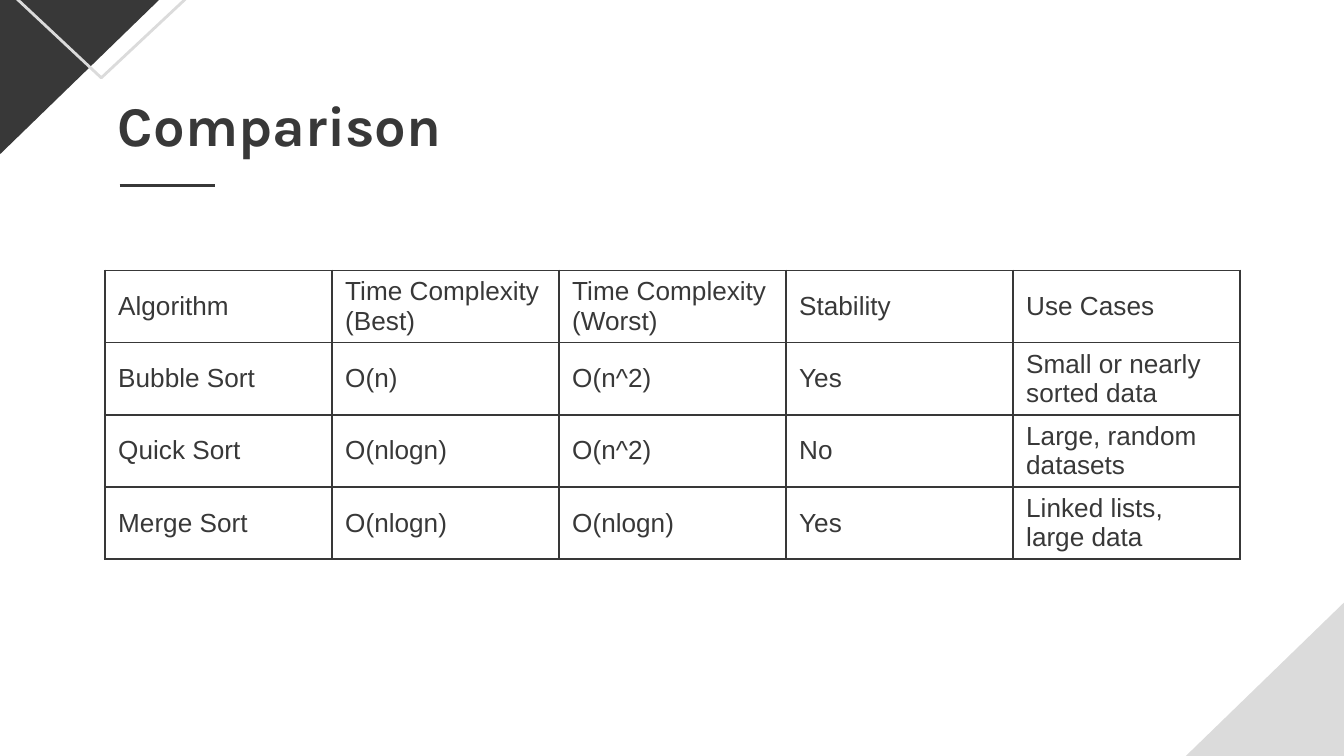
from lxml import etree
from pptx import Presentation
from pptx.dml.color import RGBColor
from pptx.enum.shapes import MSO_CONNECTOR as Link, MSO_SHAPE as Kind
from pptx.enum.text import MSO_ANCHOR as Anchor, MSO_AUTO_SIZE as Fit, PP_ALIGN as Align
from pptx.oxml.ns import qn
from pptx.util import Cm, Pt

DARK = "383838"
LIGHT = "DBDBDB"
ROWS = [
    ["Algorithm", "Time Complexity (Best)", "Time Complexity (Worst)", "Stability", "Use Cases"],
    ["Bubble Sort", "O(n)", "O(n^2)", "Yes", "Small or nearly sorted data"],
    ["Quick Sort", "O(nlogn)", "O(n^2)", "No", "Large, random datasets"],
    ["Merge Sort", "O(nlogn)", "O(nlogn)", "Yes", "Linked lists, large data"],
]


def color(code):
    return RGBColor.from_string(code)


def add_run(para, text, font, size, bold=False):
    run = para.add_run()
    run.text = text
    run.font.name = font
    run.font.size = Pt(size)
    run.font.bold = bold
    run.font.color.rgb = color(DARK)


def add_corner(slide, kind, box, turn=0, fill=None, line=None):
    shape = slide.shapes.add_shape(kind, *map(Cm, box))
    shape.shadow.inherit = False
    shape.rotation = turn
    shape.element.spPr.get_or_add_xfrm().set("flipH", "1")
    if fill:
        shape.fill.solid()
        shape.fill.fore_color.rgb = color(fill)
    else:
        shape.fill.background()
    if line:
        shape.line.color.rgb = color(line)
        shape.line.width = Pt(1.5)
    else:
        shape.line.fill.background()


def set_title(slide, text):
    title = slide.shapes.title
    title.left, title.top, title.width, title.height = map(Cm, (1.98, 1.47, 21.41, 1.47))
    frame = title.text_frame
    frame.auto_size = Fit.NONE
    frame.word_wrap = True
    frame.vertical_anchor = Anchor.TOP
    frame.margin_left = frame.margin_right = Cm(0.25)
    frame.margin_top = frame.margin_bottom = Cm(0.25)
    para = frame.paragraphs[0]
    para.alignment = Align.LEFT
    add_run(para, text, "Karla", 30, True)


def add_rule(slide, left, right, top):
    rule = slide.shapes.add_connector(Link.STRAIGHT, Cm(left), Cm(top), Cm(right), Cm(top))
    rule.line.color.rgb = color(DARK)
    rule.line.width = Pt(1.5)
    etree.SubElement(rule.element.spPr, qn("a:effectLst"))


def set_border(cell):
    props = cell._tc.get_or_add_tcPr()
    for at, side in enumerate(("lnL", "lnR", "lnT", "lnB")):
        line = etree.Element(qn("a:" + side), w=str(Pt(1)))
        fill = etree.SubElement(line, qn("a:solidFill"))
        etree.SubElement(fill, qn("a:srgbClr"), val=DARK)
        props.insert(at, line)


def add_grid(slide, rows, left, top, wide, high):
    count = len(rows[0])
    frame = slide.shapes.add_table(
        len(rows), count, Cm(left), Cm(top), Cm(wide * count), Cm(high * len(rows)))
    table = frame.table
    table.first_row = table.horz_banding = False
    for row, texts in zip(table.rows, rows):
        for cell, text in zip(row.cells, texts):
            cell.fill.background()
            cell.vertical_anchor = Anchor.MIDDLE
            set_border(cell)
            add_run(cell.text_frame.paragraphs[0], text, "Arial", 14)


def main():
    deck = Presentation()
    deck.slide_width, deck.slide_height = Cm(25.4), Cm(14.29)
    slide = deck.slides.add_slide(deck.slide_layouts[5])
    add_corner(slide, Kind.RIGHT_TRIANGLE, (20.6, 6.88, 9.45, 9.17), fill=LIGHT)
    add_corner(slide, Kind.RIGHT_TRIANGLE, (-2.57, -3.76, 9.45, 9.17), 180, fill=DARK)
    add_corner(slide, Kind.ISOSCELES_TRIANGLE, (-5.54, -5.51, 14.91, 6.98), 180, line=LIGHT)
    set_title(slide, "Comparison")
    add_rule(slide, 2.26, 4.06, 3.5)
    add_grid(slide, ROWS, 1.98, 5.11, 4.29, 1.36)
    deck.save("out.pptx")


if __name__ == "__main__":
    main()
